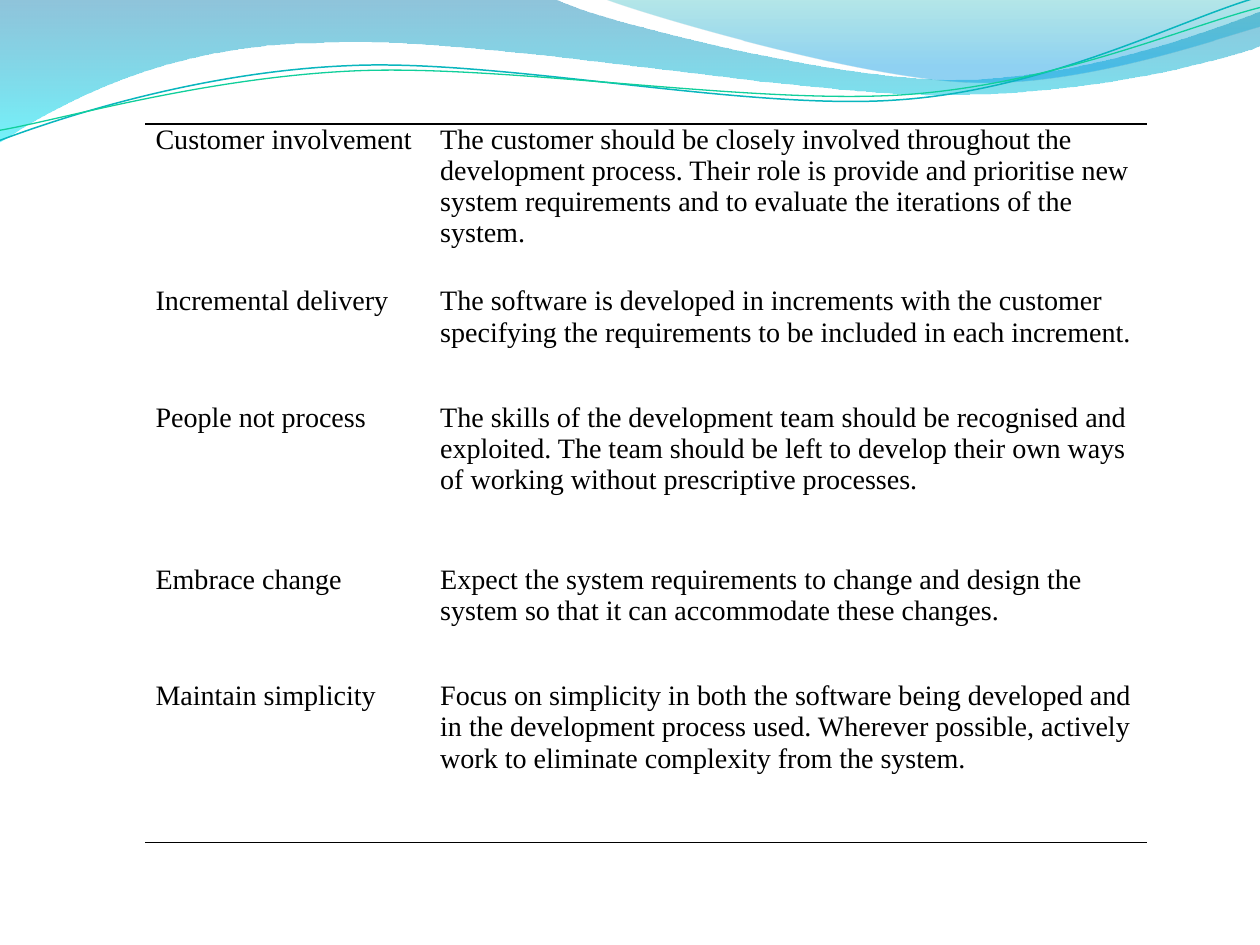
from lxml import etree
from pptx import Presentation
from pptx.dml.color import RGBColor
from pptx.enum import text
from pptx.oxml import ns
from pptx.util import Inches, Pt

BLACK = RGBColor(0x00, 0x00, 0x00)
WHITE = RGBColor(0xFF, 0xFF, 0xFF)
DEEP_BLUE = RGBColor(0x00, 0x79, 0xAD)
CYAN = RGBColor(0x00, 0xE9, 0xF7)
TURQUOISE = RGBColor(0x00, 0xAB, 0xB4)
SKY_BLUE = RGBColor(0x00, 0x99, 0xE4)
TEAL = RGBColor(0x09, 0xB6, 0xBE)
GREEN = RGBColor(0x10, 0xCF, 0x9B)
NO_STYLE = "{2D5ABB26-0587-4C30-8999-92F81FD0307C}"

deck = Presentation()
deck.slide_width, deck.slide_height = Inches(9.96), Inches(7.47)
page = deck.slides.add_slide(deck.slide_layouts[6])
page.background.fill.solid()
page.background.fill.fore_color.rgb = WHITE


def add_child(parent, tag, **attributes):
    return etree.SubElement(parent, ns.qn(tag), attributes)


def draw_outline(start, segments, closed):
    builder = page.shapes.build_freeform(Inches(start[0]), Inches(start[1]))
    anchors = [(Inches(segment[-2]), Inches(segment[-1])) for segment in segments]
    builder.add_line_segments(anchors, close=closed)
    outline = builder.convert_to_shape()
    outline.shadow.inherit = False
    edges = list(outline.element.iter(ns.qn("a:lnTo")))
    for edge, segment in zip(edges, segments):
        if len(segment) == 6:
            edge.clear()
            curve = etree.Element(ns.qn("a:cubicBezTo"))
            for x, y in zip(segment[::2], segment[1::2]):
                add_child(curve, "a:pt", x=str(Inches(x) - outline.left),
                          y=str(Inches(y) - outline.top))
            edge.getparent().replace(edge, curve)
    return outline


waves = [
    ((-0.01, -0.01),
     [(4.38, -0.01), (4.74, 0.17, 6.61, 0.63, 7.55, 0.63),
      (8.5, 0.63, 9.54, 0.26, 9.96, 0.09), (9.97, 0.36),
      (9.79, 0.44, 8.66, 0.76, 7.43, 0.75), (6.19, 0.75, 3.8, 0.28, 2.56, 0.34),
      (1.29, 0.35, 0.46, 0.83, -0.01, 1.13)],
     [(0, DEEP_BLUE, 44), (100, CYAN, 55)]),
    ((4.77, -0.01),
     [(5.07, 0.11, 6.79, 0.62, 7.66, 0.65), (8.52, 0.69, 9.57, 0.32, 9.96, 0.21),
      (9.96, 0)],
     [(0, TURQUOISE, 29), (80, SKY_BLUE, 44), (100, SKY_BLUE, 44)]),
]
for start, segments, stops in waves:
    wave = draw_outline(start, segments, True)
    wave.line.fill.background()
    wave.fill.gradient()
    wave.fill.gradient_angle = 270
    stop_list = wave.element.spPr.find(".//" + ns.qn("a:gsLst"))
    for default_stop in list(stop_list):
        stop_list.remove(default_stop)
    for position, color, opacity in stops:
        stop = add_child(stop_list, "a:gs", pos=str(position * 1000))
        tint = add_child(stop, "a:srgbClr", val=str(color))
        add_child(tint, "a:alpha", val=str(opacity * 1000))

strands = [
    ((0, 1.11),
     [(0.48, 0.93, 1.57, 0.57, 2.75, 0.52), (3.94, 0.46, 5.9, 0.88, 7.1, 0.79),
      (8.29, 0.71, 9.34, 0.15, 9.94, -0.02)], TEAL, 0.85),
    ((0, 1.03),
     [(0.47, 0.95, 1.63, 0.61, 2.82, 0.56), (4.01, 0.51, 5.95, 0.83, 7.14, 0.75),
      (8.33, 0.67, 9.37, 0.21, 9.96, 0.06)], GREEN, 0.75),
]
for start, segments, color, width in strands:
    strand = draw_outline(start, segments, False)
    strand.fill.background()
    strand.line.color.rgb = color
    strand.line.width = Pt(width)

principles = [
    ("Customer involvement ",
     "The customer should be closely involved throughout the development process. "
     "Their role is provide and prioritise new system requirements and to evaluate "
     "the iterations of the system."),
    ("Incremental delivery",
     "The software is developed in increments with the customer specifying the "
     "requirements to be included in each increment."),
    ("People not process",
     "The skills of the development team should be recognised and exploited. The team "
     "should be left to develop their own ways of working without prescriptive processes."),
    ("Embrace change",
     "Expect the system requirements to change and design the system so that it can "
     "accommodate these changes."),
    ("Maintain simplicity",
     "Focus on simplicity in both the software being developed and in the development "
     "process used. Wherever possible, actively work to eliminate complexity from the "
     "system."),
]
frame = page.shapes.add_table(len(principles), 2, Inches(1.15), Inches(0.98),
                              Inches(7.92), Inches(5.68))
table = frame.table
table.first_row = table.horz_banding = False
frame.element.find(".//" + ns.qn("a:tableStyleId")).text = NO_STYLE
for column, width in zip(table.columns, (2.25, 5.67)):
    column.width = Inches(width)
borders = {0: "a:lnT", len(principles) - 1: "a:lnB"}

for row, principle in enumerate(principles):
    table.rows[row].height = Inches(0.92 if row % 2 else 1.28)
    for column, wording in enumerate(principle):
        cell = table.cell(row, column)
        cell.margin_left = cell.margin_right = Inches(0.08)
        cell.margin_top, cell.margin_bottom = 0, Inches(0.1)
        cell.vertical_anchor = text.MSO_ANCHOR.TOP
        para = cell.text_frame.paragraphs[0]
        para.alignment = text.PP_ALIGN.LEFT
        span = para.add_run()
        span.text = wording
        span.font.name = "Times New Roman"
        span.font.size = Pt(16)
        span.font.color.rgb = BLACK
        if row in borders:
            border = add_child(cell._tc.get_or_add_tcPr(), borders[row], w=str(Pt(1)))
            add_child(add_child(border, "a:solidFill"), "a:srgbClr", val=str(BLACK))
        cell.fill.background()

deck.save("out.pptx")
